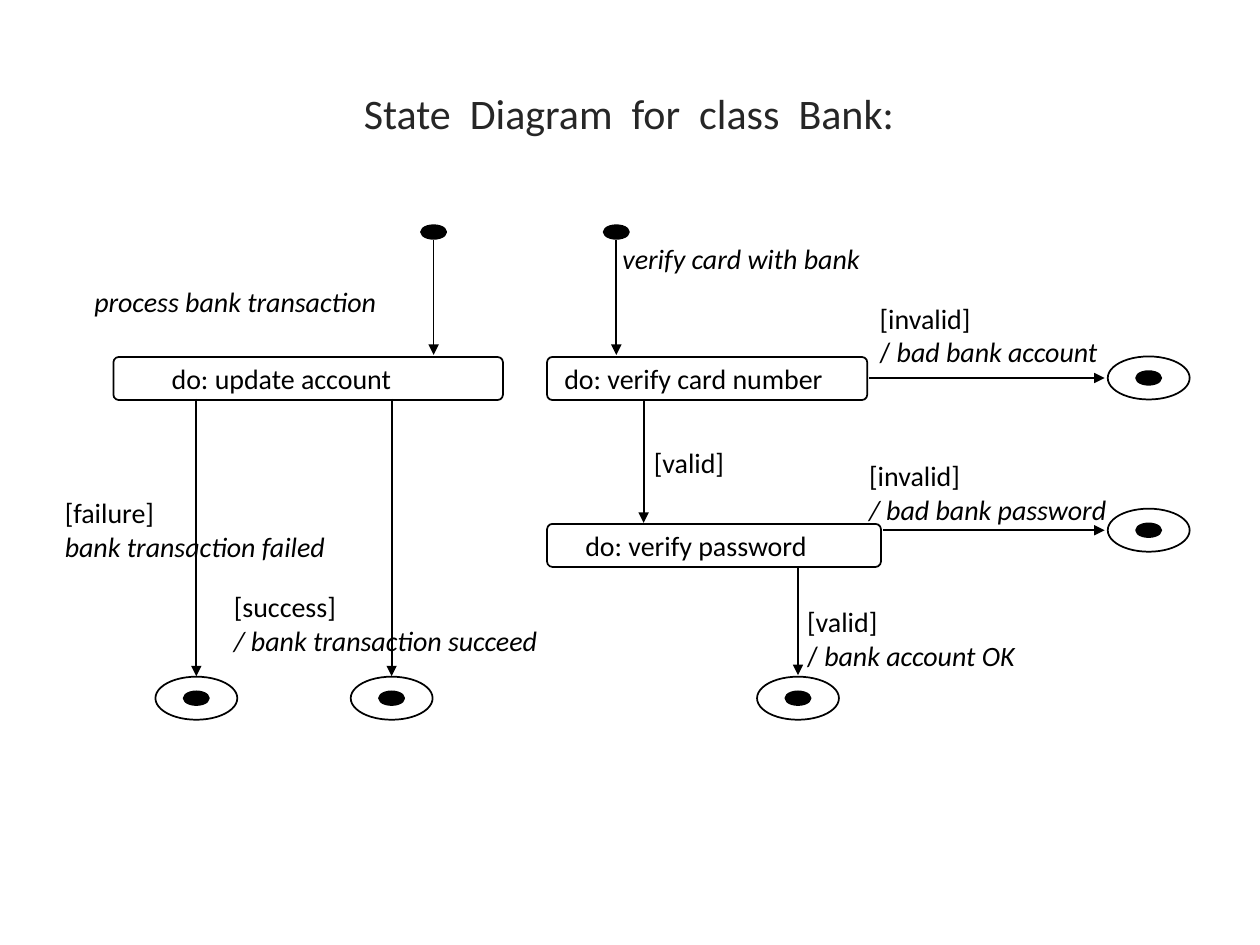
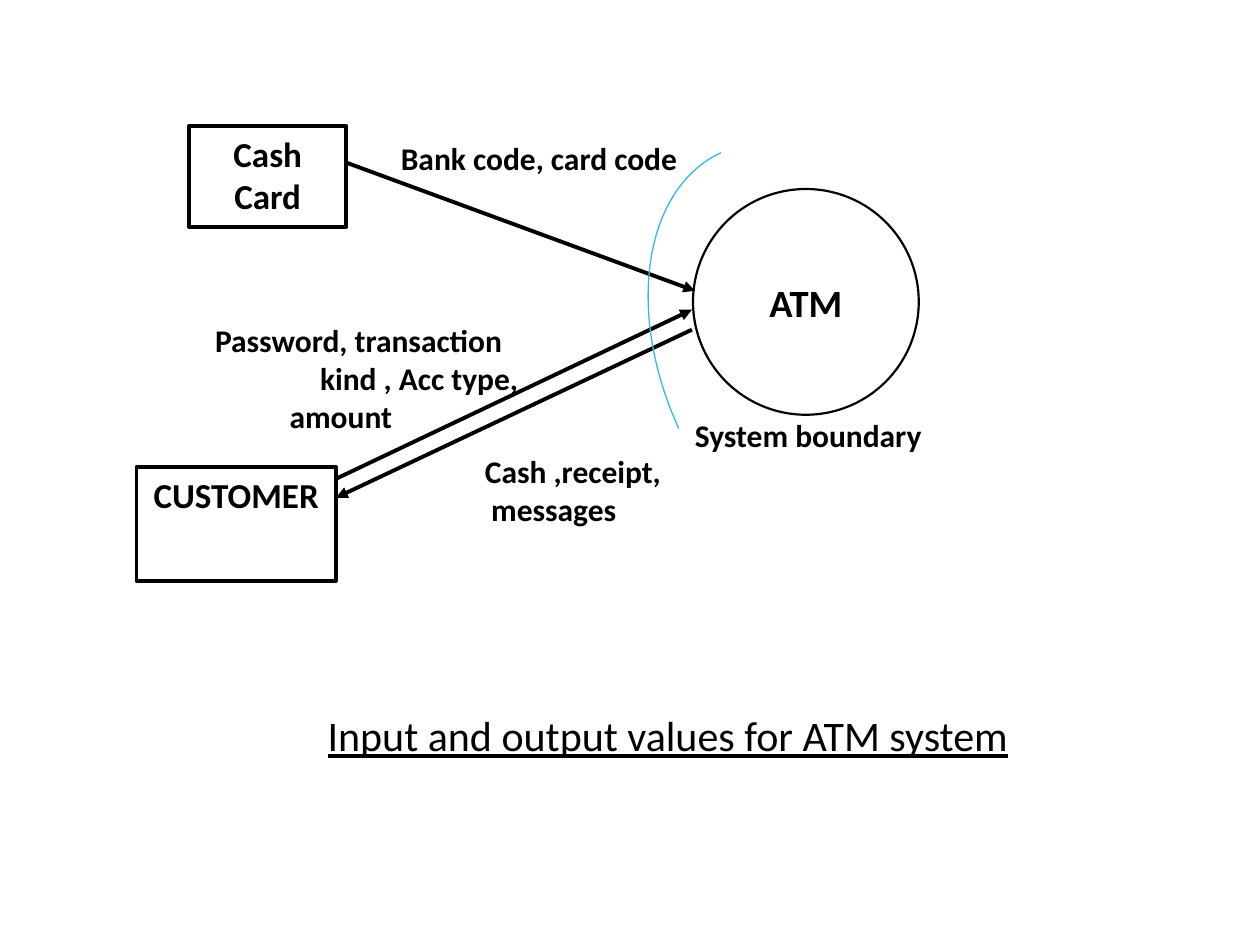
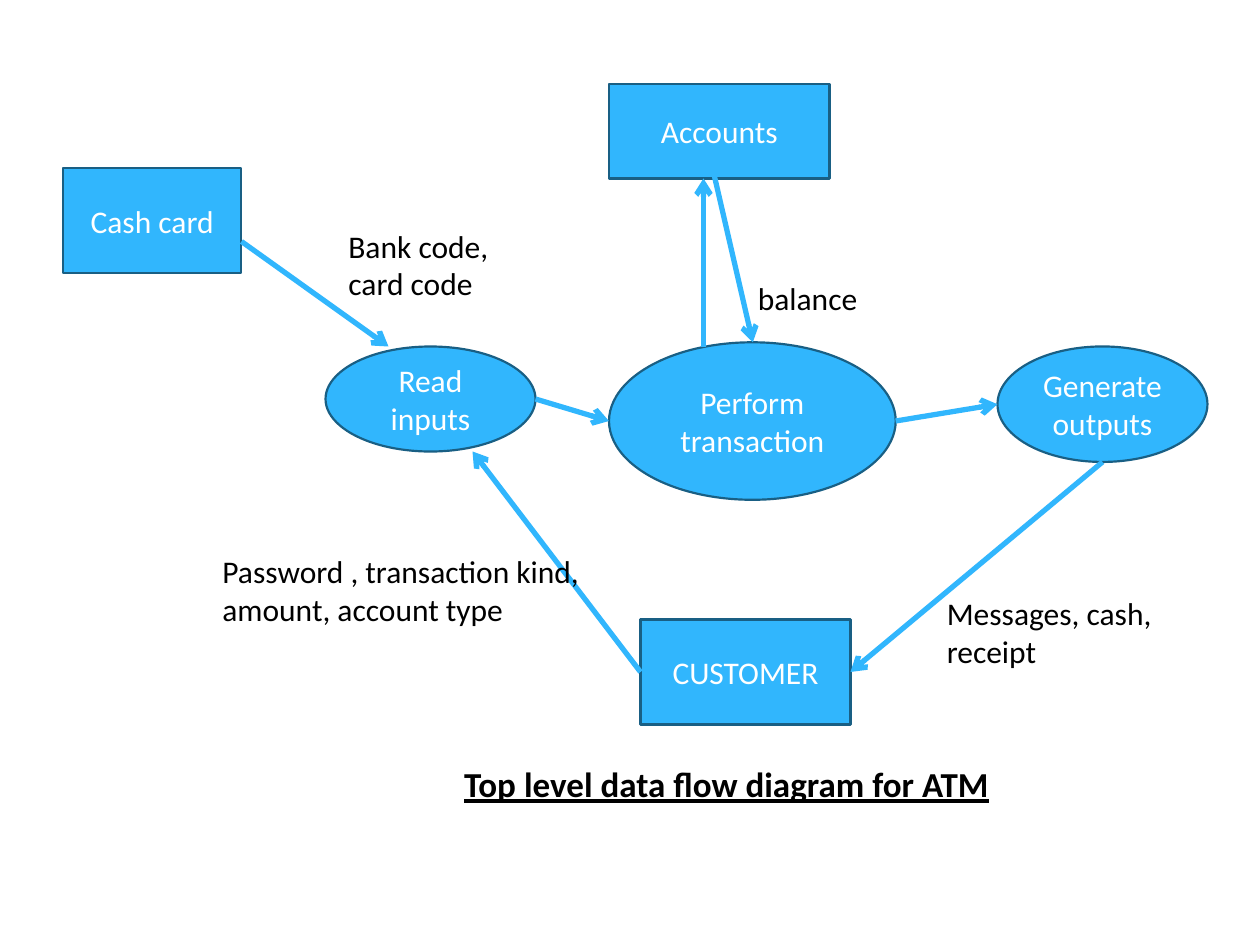
from dataclasses import dataclass

from lxml.etree import SubElement
from pptx import Presentation
from pptx.dml.color import RGBColor
from pptx.enum.shapes import MSO_CONNECTOR, MSO_SHAPE
from pptx.enum.text import MSO_ANCHOR, MSO_AUTO_SIZE, PP_ALIGN
from pptx.oxml.ns import qn
from pptx.util import Inches, Pt


@dataclass(frozen=True)
class Theme:
    font: str = "Calibri"
    ink: str = "000000"
    head: str = "262626"
    paper: str = "FFFFFF"
    blue: str = "31B6FD"
    edge: str = "195F84"
    small: int = 16
    body: int = 18
    large: int = 20
    huge: int = 22
    title: int = 24


T = Theme()
COLS, ROWS = 120, 90  # grid of the 10 by 7.5 inch slide
WIDE, HIGH = Inches(10), Inches(7.5)
LEFT, MID = PP_ALIGN.LEFT, PP_ALIGN.CENTER


# Grid and colour helpers
def cells(*nums):
    return [round(n * WIDE / COLS) for n in nums]


def rgb(code):
    return RGBColor.from_string(code)


def em(text):
    return text, True


# Text: a line is a string or a list of strings and em() runs
def write(frame, *lines, size=T.body, color=T.ink, bold=False, italic=False,
          under=False, align=LEFT, anchor=MSO_ANCHOR.TOP, pad=1.2, dents=()):
    frame.word_wrap = True
    frame.auto_size = MSO_AUTO_SIZE.NONE
    frame.vertical_anchor = anchor
    frame.margin_left, frame.margin_right = cells(pad, 1.2)
    frame.margin_top = frame.margin_bottom = Inches(0.05)
    for i, line in enumerate(lines):
        para = frame.paragraphs[0] if i == 0 else frame.add_paragraph()
        para.alignment = align
        if i < len(dents):
            para._p.get_or_add_pPr().set("marL", str(cells(dents[i])[0]))
        for part in [line] if isinstance(line, str) else line:
            text, slant = (part, italic) if isinstance(part, str) else part
            run = para.add_run()
            run.text = text
            font = run.font
            font.name, font.size = T.font, Pt(size)
            font.bold, font.italic, font.underline = bold, slant, under
            font.color.rgb = rgb(color)


def label(slide, x, y, w, *lines, **form):
    h = 1.5 + 3.6 * len(lines)
    write(slide.shapes.add_textbox(*cells(x, y, w, h)).text_frame, *lines, **form)


def titled(deck, text, box, **form):
    slide = deck.slides.add_slide(deck.slide_layouts[5])
    head = slide.shapes.title
    head.left, head.top, head.width, head.height = cells(*box)
    write(head.text_frame, text, **form)
    return slide


# Shapes and lines
def shape(slide, kind, box, fill=None, line=T.ink, weight=1, text=None, **form):
    item = slide.shapes.add_shape(kind, *cells(*box))
    item.shadow.inherit = False
    if fill:
        item.fill.solid()
        item.fill.fore_color.rgb = rgb(fill)
    else:
        item.fill.background()
    item.line.color.rgb = rgb(line)
    item.line.width = Pt(weight)
    if text:
        write(item.text_frame, text, **form)
    return item


def arrow(slide, x1, y1, x2, y2, color=T.ink, weight=1, tip="triangle"):
    link = slide.shapes.add_connector(MSO_CONNECTOR.STRAIGHT, *cells(x1, y1, x2, y2))
    link.line.color.rgb = rgb(color)
    link.line.width = Pt(weight)
    SubElement(link.line._get_or_add_ln(), qn("a:tailEnd"), type=tip)
    SubElement(link._element.spPr, qn("a:effectLst"))


# Parts of the state diagram
def oval(slide, x, y, w, h, fill=None):
    shape(slide, MSO_SHAPE.OVAL, (x - w / 2, y - h / 2, w, h), fill)


def dot(slide, x, y):
    oval(slide, x, y, 2.4, 1.3, T.ink)


def final(slide, x, y):
    dot(slide, x, y)
    oval(slide, x, y, 7.8, 4.1)


def state(slide, x, y, w, text, pad):
    item = shape(slide, MSO_SHAPE.ROUNDED_RECTANGLE, (x, y, w, 4.1), text=text,
                 size=T.small, anchor=MSO_ANCHOR.MIDDLE, pad=pad)
    item.adjustments[0] = 0.125


# Part of the data flow diagram
def node(slide, kind, box, text):
    shape(slide, kind, box, T.blue, T.edge, 1.25, text, color=T.paper,
          align=MID, anchor=MSO_ANCHOR.MIDDLE)


def states(deck):
    slide = titled(deck, "State  Diagram  for  class  Bank:", (3.6, 7.7, 112.6, 6),
                   size=T.title, color=T.head, align=MID, anchor=MSO_ANCHOR.MIDDLE)
    state(slide, 10.8, 34, 37.1, "do: update account", 5.4)
    state(slide, 52.1, 34, 30.5, "do: verify card number", 1.5)
    state(slide, 52.1, 49.9, 31.8, "do: verify password", 3.5)

    # Start and end points
    for x in (41.3, 58.7):
        dot(slide, x, 22.1)
        arrow(slide, x, 22.9, x, 33.8)
    for x, y in ((109.4, 36), (109.4, 50.5), (76, 66.5), (37.3, 66.5), (18.7, 66.5)):
        final(slide, x, y)

    # Transitions
    for x, y in ((82.8, 36), (84.1, 50.5)):
        arrow(slide, x, y, 105.2, y)
    for x, top, end in ((61.3, 38.2, 49.8), (76, 54, 64.3),
                        (37.3, 38, 64.4), (18.7, 38, 64.4)):
        arrow(slide, x, top, x, end)

    for x, y, *lines in (
        (7.8, 26.5, [em("process bank transaction")]),
        (58.1, 22.4, [em("verify card with bank")]),
        (82.6, 28.1, "[invalid]", ["/", em(" bad bank account")]),
        (61.1, 41.8, "[valid]"),
        (81.6, 43.1, "[invalid]", [em("/ bad bank password")]),
        (75.7, 57, "[valid]", ["/", em(" bank account OK")]),
        (5, 46.6, "[failure]", [em("bank transaction failed")]),
        (21.1, 55.6, "[success]", [em("/ bank transaction succeed")]),
    ):
        label(slide, x, y, 36, *lines, size=T.small)


def values(deck):
    slide = titled(deck, "Input and output values for ATM system", (30, 67, 83, 6),
                   size=T.title, under=True)
    for text, box in (("Cash Card", (18, 12, 15, 9.6)),
                      ("CUSTOMER", (13, 44.5, 19, 10.8))):
        shape(slide, MSO_SHAPE.RECTANGLE, box, T.paper, weight=2.25, text=text,
              size=T.large, bold=True, align=MID)
    for ends in ((32, 45.6, 65.9, 29.5), (65.9, 31.4, 32, 47.4), (33, 15.5, 66.2, 27.7)):
        arrow(slide, *ends, weight=2.25)

    label(slide, 37, 12.7, 36, "Bank code, card code", bold=True)
    label(slide, 19.3, 30, 34, "Password, transaction", "kind , Acc type,", "amount",
          bold=True, dents=(0, 10, 7.1))
    label(slide, 45, 42.5, 30, "Cash ,receipt,", "messages", bold=True, dents=(0, 0.6))
    label(slide, 65, 39, 29, "System boundary", bold=True)

    # System and its boundary
    curve = shape(slide, MSO_SHAPE.ARC, (55.8, 20, 44.3, 29.3), line=T.blue, weight=0.75)
    curve.rotation = 245.2
    shape(slide, MSO_SHAPE.OVAL, (66, 18, 21.5, 21.5), weight=1.25, text="ATM",
          size=T.huge, bold=True, align=MID, anchor=MSO_ANCHOR.MIDDLE)


def flow(deck):
    slide = titled(deck, "Top level data flow diagram for ATM", (43, 72, 68, 5.3),
                   size=T.large, bold=True, under=True)
    # Processes and stores
    for text, box in (("Read inputs", (31, 33, 20, 10)),
                      ("Perform transaction", (58, 32.6, 27.3, 15)),
                      ("Generate outputs", (95, 33, 20, 11))):
        node(slide, MSO_SHAPE.OVAL, box, text)
    for text, box in (("Cash card", (6, 16, 17, 10)),
                      ("Accounts", (58, 8, 21, 9)),
                      ("CUSTOMER", (61, 59, 20, 10))):
        node(slide, MSO_SHAPE.RECTANGLE, box, text)

    # Data flows
    for ends in ((23, 23, 37, 33), (51, 38, 58, 40.1), (85.3, 40.1, 95, 38.5),
                 (67, 33, 67, 17), (105, 44, 81, 64), (61, 64, 45, 43),
                 (68, 16.6, 71.7, 32.6)):
        arrow(slide, *ends, color=T.blue, weight=3, tip="arrow")
    label(slide, 32, 21, 20, "Bank code,", "card code")
    label(slide, 71, 26, 17, "balance")
    label(slide, 89, 56, 24, "Messages, cash, receipt")
    label(slide, 20, 52, 39, "Password , transaction kind, amount, account type")


def main():
    deck = Presentation()
    deck.slide_width, deck.slide_height = WIDE, HIGH
    for build in (states, values, flow):
        build(deck)
    deck.save("out.pptx")


if __name__ == "__main__":
    main()
